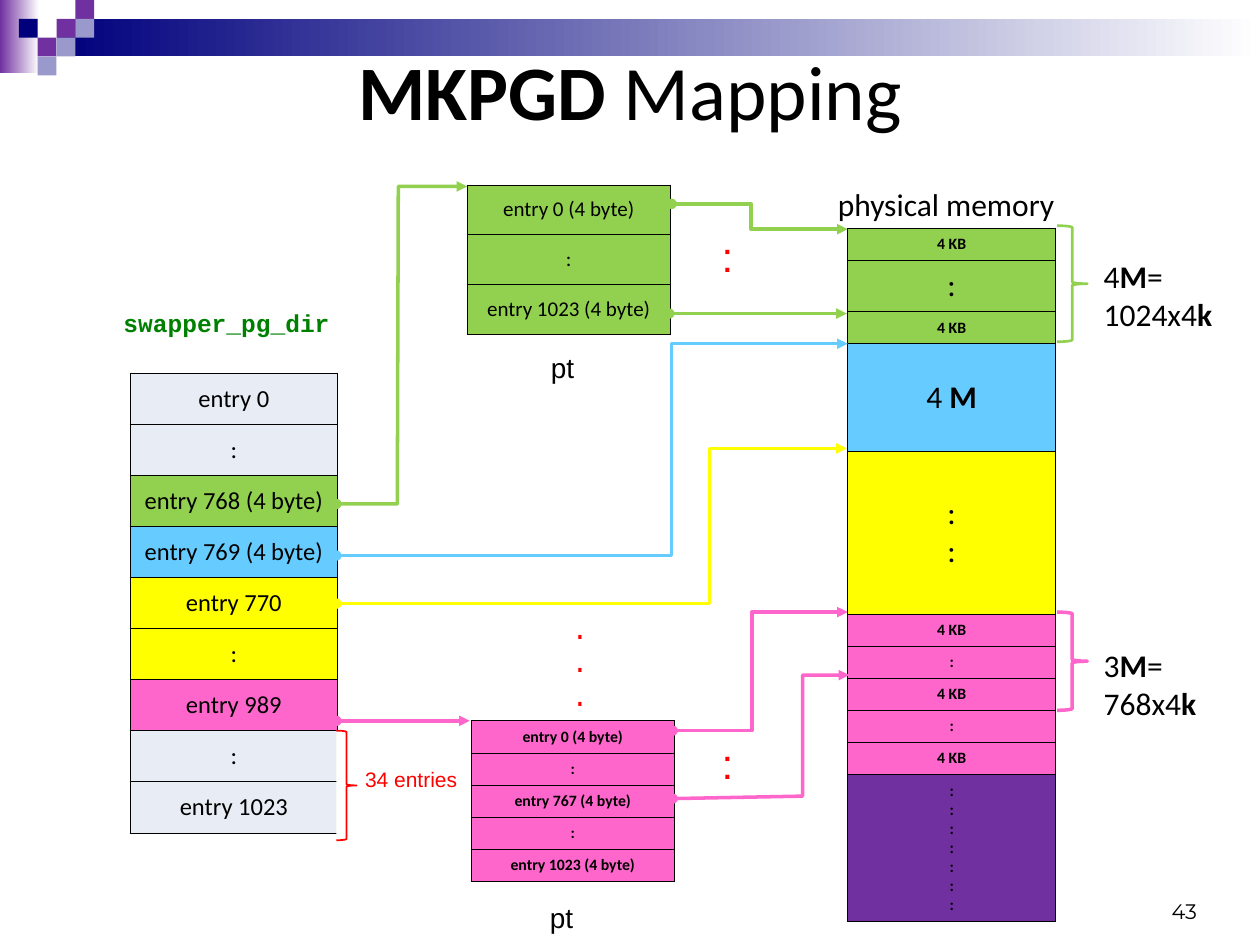
from lxml import etree
from pptx import Presentation
from pptx import util as u
from pptx.dml.color import RGBColor
from pptx.enum import shapes, text
from pptx.oxml.ns import qn

GREEN, BLUE, YELLOW, PINK = "92D050", "66CCFF", "FFFF00", "FF66CC"
PURPLE, NAVY, LAVENDER, PALE = "7030A0", "00007D", "9999CC", "E8ECF4"
RED, BLACK, WHITE = "FF0000", "000000", "FFFFFF"
LEFT, CENTER, RIGHT = text.PP_ALIGN.LEFT, text.PP_ALIGN.CENTER, text.PP_ALIGN.RIGHT
KB = ("**4 KB**", 9, PINK, 0.64)
GAP = ("**:**", 9, PINK, 0.64)

# Content: lengths in cm, **bold** marks bold runs
TITLE = "**MKPGD** Mapping"
# Header squares: column, row, colour on a square grid
STEP = 0.38
SQUARES = [(3, 1, PURPLE), (4, 0, PURPLE), (4, 1, LAVENDER), (2, 2, PURPLE),
           (1, 1, NAVY), (3, 2, LAVENDER), (2, 3, LAVENDER)]

# Tables: left, top, width, rows of (text, size, fill, height)
TABLES = [
    (2.62, 7.52, 4.19, [(t, 14, c, 1.03) for t, c in [
        ("entry 0", PALE), (":", PALE), ("entry 768 (4 byte)", GREEN),
        ("entry 769 (4 byte)", BLUE), ("entry 770", YELLOW), (":", YELLOW),
        ("entry 989", PINK), (":", PALE), ("entry 1023", PALE)]]),
    (9.42, 3.73, 4.09, [(t, 12, GREEN, 1.0) for t in (
        "entry 0 (4 byte)", ":", "entry 1023 (4 byte)")]),
    (17.09, 4.6, 4.19, [
        ("**4 KB**", 9, GREEN, 0.64), (":", 18, GREEN, 1.0),
        ("**4 KB**", 9, GREEN, 0.64), ("4 **M**", 18, BLUE, 2.16),
        (":\n:", 18, YELLOW, 3.29), KB, GAP, KB, GAP, KB,
        ("\n".join(["**:**"] * 7), 9, PURPLE, 2.92)]),
    (9.5, 14.53, 4.09, [(f"**{t}**", 9, PINK, 0.64) for t in (
        "entry 0 (4 byte)", ":", "entry 767 (4 byte)", ":", "entry 1023 (4 byte)")]),
]

# Labels: text, (left, top, width, height), font, size, colour, alignment, has margins
LABELS = [
    ("**swapper_pg_dir**", (2.49, 6.2, 4.72, 0.58), "Courier New", 14, "008000", LEFT, False),
    ("physical memory", (16.89, 3.73, 4.72, 0.76), "Calibri", 18, BLACK, LEFT, False),
    ("4**M**= 1024x4**k**", (22.25, 5.18, 2.24, 1.52), "Calibri", 18, BLACK, LEFT, False),
    ("3**M**= 768x4**k**", (22.25, 13.03, 2.24, 1.52), "Calibri", 18, BLACK, LEFT, False),
    (".\n.\n.", (11.1, 12.32, 1.19, 2.03), "Courier New", 16, RED, CENTER, False),
    ("pt", (10.69, 6.93, 1.3, 0.94), "Arial", 16, BLACK, CENTER, True),
    ("pt", (10.67, 18.03, 1.3, 0.94), "Arial", 16, BLACK, CENTER, True),
    ("34 entries", (7.11, 15.32, 2.79, 0.76), "Arial", 12, RED, LEFT, True),
    (":", (14.3, 4.52, 0.81, 1.27), "Arial", 24, RED, LEFT, True),
    (":", (14.3, 14.73, 0.81, 1.27), "Arial", 24, RED, LEFT, True),
    ("43", (18.21, 18.11, 5.92, 0.51), "Montserrat", 12, BLACK, RIGHT, False),
]

# Braces: box, colour, line width
BRACES = [((21.31, 4.55, 0.61, 2.34), GREEN, 1.5),
          ((6.78, 14.73, 0.41, 2.21), RED, 1),
          ((21.31, 12.34, 0.61, 1.98), PINK, 2)]

# Arrows: colour and corner points
ARROWS = [
    (GREEN, [(6.78, 10.16), (8.01, 10.16), (8.03, 3.76), (9.42, 3.76)]),
    (GREEN, [(13.54, 4.11), (15.14, 4.11), (15.14, 4.62), (17.09, 4.62)]),
    (GREEN, [(13.49, 6.32), (17.07, 6.32)]),
    (BLUE, [(6.78, 11.2), (13.54, 11.2), (13.54, 6.93), (17.09, 6.93)]),
    (YELLOW, [(6.78, 12.17), (14.3, 12.17), (14.3, 9.04), (17.07, 9.04)]),
    (PINK, [(6.78, 14.53), (9.47, 14.53)]),
    (PINK, [(13.56, 14.73), (15.16, 14.73), (15.16, 12.34), (17.09, 12.34)]),
    (PINK, [(13.56, 16.1), (16.18, 16.05), (16.18, 13.61), (17.12, 13.61)]),
]


def rgb(value):
    return RGBColor.from_string(value)


def cm(values):
    return [u.Cm(v) for v in values]


def write(tf, content, font, size, color, align):
    for i, line in enumerate(content.split("\n")):
        p = tf.paragraphs[0] if i == 0 else tf.add_paragraph()
        p.alignment = align
        for j, part in enumerate(line.split("**")):
            if part:
                r = p.add_run()
                r.text = part
                r.font.name, r.font.size = font, u.Pt(size)
                r.font.bold = j % 2 == 1
                r.font.color.rgb = rgb(color)


def set_margins(tf, x, y):
    tf.margin_left = tf.margin_right = u.Cm(x)
    tf.margin_top = tf.margin_bottom = u.Cm(y)


def add_block(s, box, *colors):
    sp = s.shapes.add_shape(shapes.MSO_SHAPE.RECTANGLE, *cm(box))
    sp.shadow.inherit = False
    sp.line.fill.background()
    if len(colors) == 1:
        sp.fill.solid()
        sp.fill.fore_color.rgb = rgb(colors[0])
    else:
        sp.fill.gradient()
        sp.fill.gradient_angle = 0
        for stop, color in zip(sp.fill.gradient_stops, colors):
            stop.color.rgb = rgb(color)


def add_borders(cell):
    tc_pr = cell._tc.get_or_add_tcPr()
    for side in ("lnL", "lnR", "lnT", "lnB"):
        ln = etree.SubElement(tc_pr, qn(f"a:{side}"), w=str(u.Pt(0.45)))
        fill = etree.SubElement(ln, qn("a:solidFill"))
        etree.SubElement(fill, qn("a:srgbClr"), val=BLACK)


def add_column(s, left, top, width, rows):
    box = cm((left, top, width, sum(row[3] for row in rows)))
    table = s.shapes.add_table(len(rows), 1, *box).table
    table.first_row = table.horz_banding = False
    for i, (content, size, fill, height) in enumerate(rows):
        table.rows[i].height = u.Cm(height)
        cell = table.cell(i, 0)
        add_borders(cell)
        cell.fill.solid()
        cell.fill.fore_color.rgb = rgb(fill)
        cell.vertical_anchor = text.MSO_ANCHOR.MIDDLE
        set_margins(cell, 0.13, 0.13)
        write(cell.text_frame, content, "Calibri", size, BLACK, CENTER)


def add_arrow(s, color, points):
    points = [tuple(cm(pt)) for pt in points]
    if len(points) == 2:
        sp = s.shapes.add_connector(shapes.MSO_CONNECTOR.STRAIGHT, *points[0], *points[1])
        etree.SubElement(sp._element.spPr, qn("a:effectLst"))
    else:
        builder = s.shapes.build_freeform(*points[0])
        builder.add_line_segments(points[1:], close=False)
        sp = builder.convert_to_shape()
        sp.shadow.inherit = False
        sp.fill.background()
    sp.line.color.rgb = rgb(color)
    sp.line.width = u.Pt(2)
    ln = sp.line._get_or_add_ln()
    etree.SubElement(ln, qn("a:headEnd"), type="oval")
    etree.SubElement(ln, qn("a:tailEnd"), type="triangle")


def main():
    prs = Presentation()
    prs.slide_width, prs.slide_height = cm((25.4, 19.05))
    s = prs.slides.add_slide(prs.slide_layouts[5])

    # Header decoration
    add_block(s, (0, 0, 0.79, 1.47), PURPLE, WHITE)
    add_block(s, (3 * STEP, STEP, 25.4 - 3 * STEP, 2 * STEP), NAVY, WHITE)
    for col, row, color in SQUARES:
        add_block(s, (col * STEP, row * STEP, STEP, STEP), color)

    # Title
    title = s.shapes.title
    title.left, title.top, title.width, title.height = cm((1.27, 0.76, 22.86, 3.18))
    title.text_frame.vertical_anchor = text.MSO_ANCHOR.TOP
    write(title.text_frame, TITLE, "Calibri", 44, BLACK, CENTER)

    # Page tables and memory
    for table in TABLES:
        add_column(s, *table)

    # Braces
    for box, color, width in BRACES:
        sp = s.shapes.add_shape(shapes.MSO_SHAPE.RIGHT_BRACE, *cm(box))
        sp.adjustments[0] = 0.06
        sp.shadow.inherit = False
        sp.fill.solid()
        sp.fill.fore_color.rgb = rgb(WHITE)
        sp.line.color.rgb = rgb(color)
        sp.line.width = u.Pt(width)

    # Labels
    for content, box, font, size, color, align, has_margins in LABELS:
        tf = s.shapes.add_textbox(*cm(box)).text_frame
        tf.word_wrap = True
        set_margins(tf, *((0.25, 0.13) if has_margins else (0, 0)))
        write(tf, content, font, size, color, align)

    # Arrows
    for color, points in ARROWS:
        add_arrow(s, color, points)

    prs.save("out.pptx")


if __name__ == "__main__":
    main()
